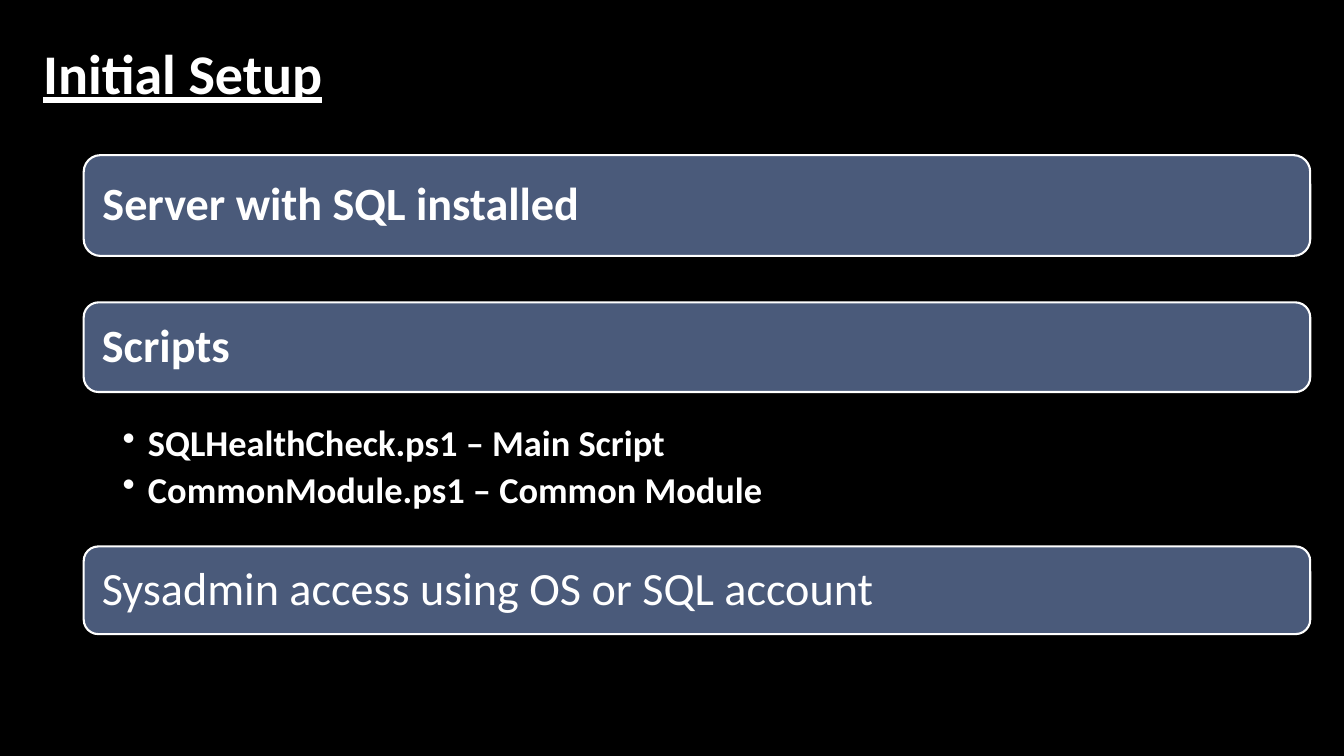
from typing import NamedTuple

import pptx
import pptx.dml.color
import pptx.enum.shapes
import pptx.enum.text
import pptx.oxml
import pptx.oxml.ns
import pptx.util

Cm = pptx.util.Cm
Pt = pptx.util.Pt
RGBColor = pptx.dml.color.RGBColor
MSO_SHAPE = pptx.enum.shapes.MSO_SHAPE
MSO_ANCHOR = pptx.enum.text.MSO_ANCHOR
PP_ALIGN = pptx.enum.text.PP_ALIGN

BLACK = RGBColor(0x00, 0x00, 0x00)
WHITE = RGBColor(0xFF, 0xFF, 0xFF)
SLATE = RGBColor(0x4A, 0x5A, 0x7A)
FONT = "Calibri"

LIST_LEFT = Cm(2.11)
LIST_WIDTH = Cm(30.91)


class Card(NamedTuple):
    text: str
    top: float
    height: float
    bold: bool = True


CARDS = [
    Card("Server with SQL installed", 3.91, 2.54),
    Card("Scripts", 7.62, 2.26),
    Card("Sysadmin access using OS or SQL account", 13.77, 2.21, bold=False),
]
SCRIPTS = [
    "SQLHealthCheck.ps1 – Main Script",
    "CommonModule.ps1 – Common Module",
]


def add_run(p, text: str, size: float, bold: bool = True):
    """Append a white run to a left-aligned paragraph."""
    p.alignment = PP_ALIGN.LEFT
    r = p.add_run()
    r.text = text
    r.font.name = FONT
    r.font.size = Pt(size)
    r.font.bold = bold
    r.font.color.rgb = WHITE
    return r


def add_box(slide, kind, left, top, width, height, fill: RGBColor, line: RGBColor):
    """Add a flat shape with a solid fill and a 1.5 pt outline."""
    sp = slide.shapes.add_shape(kind, left, top, width, height)
    sp.shadow.inherit = False
    sp.fill.solid()
    sp.fill.fore_color.rgb = fill
    sp.line.color.rgb = line
    sp.line.width = Pt(1.5)
    sp.text_frame.word_wrap = True
    return sp


def add_title(slide, text: str) -> None:
    sp = add_box(slide, MSO_SHAPE.RECTANGLE, Cm(0.84), Cm(0.84),
                 Cm(28.45), Cm(1.47), BLACK, BLACK)
    tf = sp.text_frame
    tf.vertical_anchor = MSO_ANCHOR.TOP
    p = tf.paragraphs[0]
    p.space_before = Pt(4)
    add_run(p, text, 40).font.underline = True


def add_card(slide, card: Card) -> None:
    sp = add_box(slide, MSO_SHAPE.ROUNDED_RECTANGLE, LIST_LEFT, Cm(card.top),
                 LIST_WIDTH, Cm(card.height), SLATE, WHITE)
    tf = sp.text_frame
    tf.vertical_anchor = MSO_ANCHOR.MIDDLE
    tf.margin_left = tf.margin_right = tf.margin_top = tf.margin_bottom = Cm(0.35)
    p = tf.paragraphs[0]
    p.line_spacing = 0.9
    add_run(p, card.text, 33, card.bold)


def add_bullets(slide, items: list[str]) -> None:
    sp = slide.shapes.add_textbox(LIST_LEFT, Cm(10.59), LIST_WIDTH, Cm(3.58))
    tf = sp.text_frame
    tf.word_wrap = True
    tf.margin_left, tf.margin_right = Cm(0.98), Cm(0.65)
    for i, item in enumerate(items):
        p = tf.add_paragraph() if i else tf.paragraphs[0]
        p.line_spacing = 0.9
        p.space_after = Pt(5.2)
        add_run(p, item, 26)
        # Hanging indent with a bullet character
        pPr = p._p.get_or_add_pPr()
        pPr.set("marL", str(Cm(0.64)))
        pPr.set("indent", str(-Cm(0.64)))
        pPr.append(pptx.oxml.parse_xml(
            f'<a:buChar {pptx.oxml.ns.nsdecls("a")} char="•"/>'))


def main() -> None:
    prs = pptx.Presentation()
    prs.slide_width, prs.slide_height = Cm(33.87), Cm(19.05)
    slide = prs.slides.add_slide(prs.slide_layouts[6])

    # Background
    slide.background.fill.solid()
    slide.background.fill.fore_color.rgb = BLACK

    # Title
    add_title(slide, "Initial Setup")

    # Requirement cards and the scripts under the second one
    for card in CARDS:
        add_card(slide, card)
    add_bullets(slide, SCRIPTS)

    prs.save("out.pptx")


if __name__ == "__main__":
    main()
